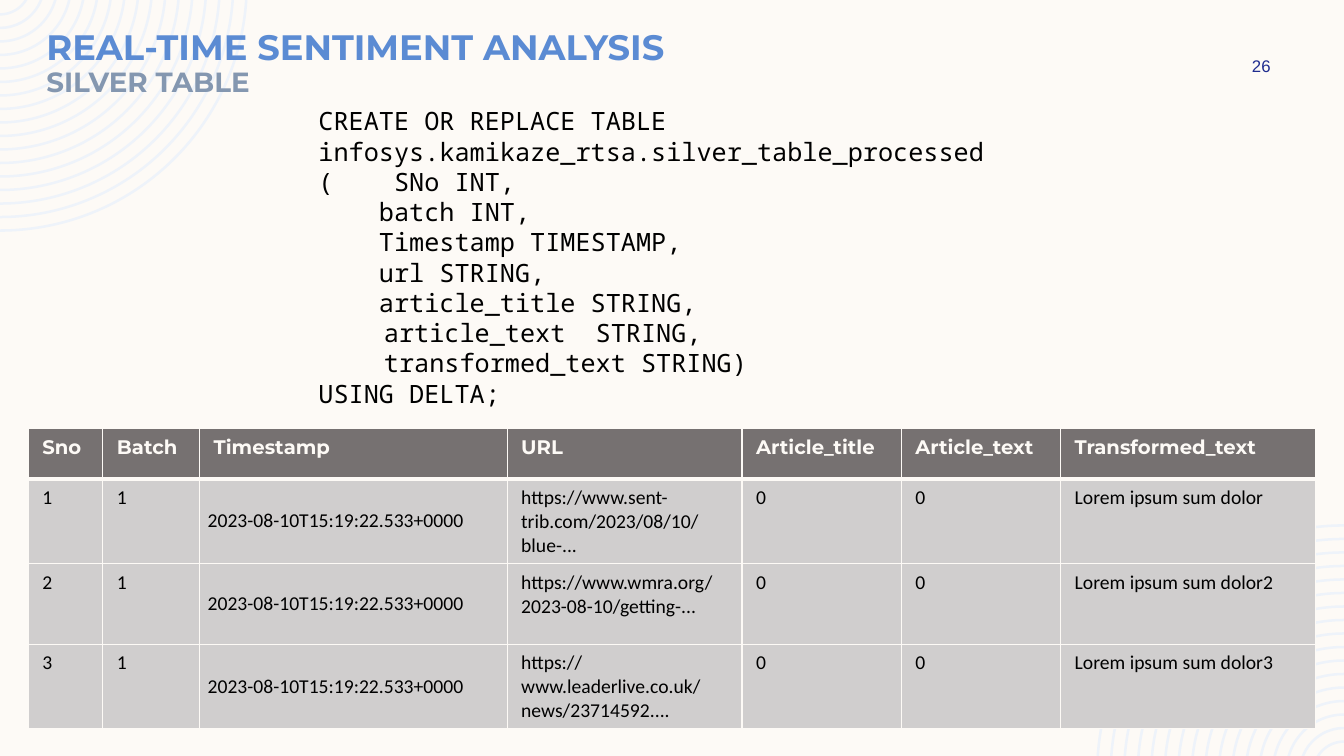
from math import acos, degrees, sin

from lxml.etree import SubElement
from pptx import Presentation
from pptx.dml.color import RGBColor
from pptx.enum.text import MSO_ANCHOR, MSO_AUTO_SIZE, PP_ALIGN
from pptx.oxml.ns import qn
from pptx.util import Inches, Pt

WIDE, HIGH = 13.33, 7.5
CREAM, PALE, BLACK = "FDFAF6", "EEF3FA", "000000"
DARK, GREY = "767171", "D0CECE"

# Text formats
HEAD = dict(size=Pt(25.2), name="Montserrat", bold=True, color="5B8BD3")
SUB = dict(HEAD, size=Pt(19.8), color="8497B0")
PAGE = dict(size=Pt(12), name="Arial", color="1F2C8F")
MONO = dict(size=Pt(18), name="Noto Sans Mono", color=BLACK)
TOP = dict(size=Pt(14), name="Montserrat", bold=True, color=CREAM)
CELL = dict(size=Pt(14), name="Calibri", bold=False, color=BLACK)

CODE = [
    "CREATE OR REPLACE TABLE infosys.kamikaze_rtsa.silver_table_processed",
    "(    SNo INT,",
    "    batch INT,",
    "    Timestamp TIMESTAMP,",
    "    url STRING,",
    "    article_title STRING,",
    "   \t article_text  STRING,",
    "\t transformed_text STRING)",
    "USING DELTA;",
]

COLS = [0.74, 0.96, 3.05, 2.33, 1.58, 1.58, 2.53]
ROWS = [0.5, 0.8, 0.8, 0.8]
TIME = "2023-08-10T15:19:22.533+0000"
DATA = [
    ["Sno", "Batch", "Timestamp", "URL", "Article_title", "Article_text",
     "Transformed_text"],
    ["1", "1", TIME, "https://www.sent-trib.com/2023/08/10/blue-...", "0", "0",
     "Lorem ipsum sum dolor"],
    ["2", "1", TIME, "https://www.wmra.org/2023-08-10/getting-...", "0", "0",
     "Lorem ipsum sum dolor2"],
    ["3", "1", TIME, "https://www.leaderlive.co.uk/news/23714592....", "0", "0",
     "Lorem ipsum sum dolor3"],
]


def paint(fill, tint):
    fill.solid()
    fill.fore_color.rgb = RGBColor.from_string(tint)


def style(font, look):
    for key, value in look.items():
        if key == "color":
            paint(font.fill, value)
        else:
            setattr(font, key, value)


def write(para, text, look):
    run = para.add_run()
    run.text = text
    style(run.font, look)


def add_box(slide, left, top, width, height):
    box = slide.shapes.add_textbox(
        Inches(left), Inches(top), Inches(width), Inches(height))
    box.text_frame.word_wrap = True
    return box.text_frame


# Concentric rings, cut off by the slide edge
def add_point(track, kind, x, y):
    step = SubElement(track, qn("a:" + kind))
    SubElement(step, qn("a:pt"), x=str(Inches(x)), y=str(Inches(y)))


def add_arc(track, rad, start, sweep):
    size = str(Inches(rad))
    SubElement(track, qn("a:arcTo"), wR=size, hR=size,
               stAng=str(round(start * 60000)),
               swAng=str(round(sweep * 60000)))


def add_ring(track, rad):
    drop, inner = 0.16, rad - 0.025
    span, turn = acos(drop / rad), acos(drop / inner)
    add_point(track, "moveTo", 0, rad - drop)
    add_arc(track, rad, 90, -degrees(span))
    add_point(track, "lnTo", inner * sin(turn), 0)
    add_arc(track, inner, 90 - degrees(turn), degrees(turn))
    SubElement(track, qn("a:close"))


def add_rings(slide, left, top, angle):
    wide, high = Inches(2.45), Inches(2.3)
    pen = slide.shapes.build_freeform(0, 0)
    pen.add_line_segments([(wide, 0), (wide, high), (0, high)])
    shape = pen.convert_to_shape(Inches(left), Inches(top))
    track = shape._element.find(".//" + qn("a:pathLst"))[0]
    for step in list(track):
        track.remove(step)
    for i in range(17):
        add_ring(track, 2.46 - 0.134 * i)
    shape.rotation = angle
    shape.shadow.inherit = False
    paint(shape.fill, PALE)
    shape.line.fill.background()


# Title with its second line
def add_title(slide):
    title = slide.shapes.title
    place = dict(left=0.36, top=0.25, width=11.68, height=0.84)
    for key, value in place.items():
        setattr(title, key, Inches(value))
    frame = title.text_frame
    frame.auto_size = MSO_AUTO_SIZE.NONE
    frame.word_wrap = True
    frame.vertical_anchor = MSO_ANCHOR.TOP
    para = frame.paragraphs[0]
    para.alignment = PP_ALIGN.LEFT
    para.line_spacing = 0.9
    para.space_before = Pt(0)
    write(para, "REAL-TIME SENTIMENT ANALYSIS", HEAD)
    para.add_line_break()
    write(para, "SILVER TABLE", SUB)
    slide.shapes._spTree.append(title._element)  # in front of the rings


def add_page(slide):
    frame = add_box(slide, 11.97, 0.5, 1.08, 0.3)
    frame.vertical_anchor = MSO_ANCHOR.MIDDLE
    para = frame.paragraphs[0]
    para.alignment = PP_ALIGN.CENTER
    write(para, "26", PAGE)


def add_code(slide):
    frame = add_box(slide, 3.06, 1, 7.21, 3.13)
    for i, line in enumerate(CODE):
        para = frame.add_paragraph() if i else frame.paragraphs[0]
        para.line_spacing = Pt(21.6)
        if "\t" in line:
            tabs = SubElement(para._p.get_or_add_pPr(), qn("a:tabLst"))
            SubElement(tabs, qn("a:tab"), pos=str(Inches(0.5)), algn="l")
        write(para, line, MONO)


# Table
def add_edges(cell, base):
    prop = cell._tc.get_or_add_tcPr()
    for side, size in dict(L=1, R=1, T=1, B=base).items():
        line = SubElement(prop, qn("a:ln" + side), w=str(Pt(size)))
        solid = SubElement(line, qn("a:solidFill"))
        SubElement(solid, qn("a:srgbClr"), val=CREAM)


def fill_cell(cell, text, head, mid):
    add_edges(cell, 3 if head else 1)
    paint(cell.fill, DARK if head else GREY)
    side, edge = (0.08, 0.08) if mid else (0.14, 0.07)
    cell.margin_left = cell.margin_right = Inches(side)
    cell.margin_top = cell.margin_bottom = Inches(edge)
    cell.vertical_anchor = MSO_ANCHOR.MIDDLE if mid else MSO_ANCHOR.TOP
    write(cell.text_frame.paragraphs[0], text, TOP if head else CELL)


def add_grid(slide):
    grid = slide.shapes.add_table(
        len(ROWS), len(COLS), Inches(0.28), Inches(4.25),
        Inches(sum(COLS)), Inches(sum(ROWS))).table
    for col, width in zip(grid.columns, COLS):
        col.width = Inches(width)
    for r, (row, height) in enumerate(zip(grid.rows, ROWS)):
        row.height = Inches(height)
        for c, text in enumerate(DATA[r]):
            fill_cell(grid.cell(r, c), text, r == 0, r > 0 and c == 2)


def main():
    deck = Presentation()
    deck.slide_width, deck.slide_height = Inches(WIDE), Inches(HIGH)
    slide = deck.slides.add_slide(deck.slide_layouts[5])
    paint(slide.background.fill, CREAM)
    add_rings(slide, 0, 0, 0)
    add_rings(slide, 10.88, 5.2, 180)
    add_page(slide)
    add_code(slide)
    add_grid(slide)
    add_title(slide)
    deck.save("out.pptx")


if __name__ == "__main__":
    main()
